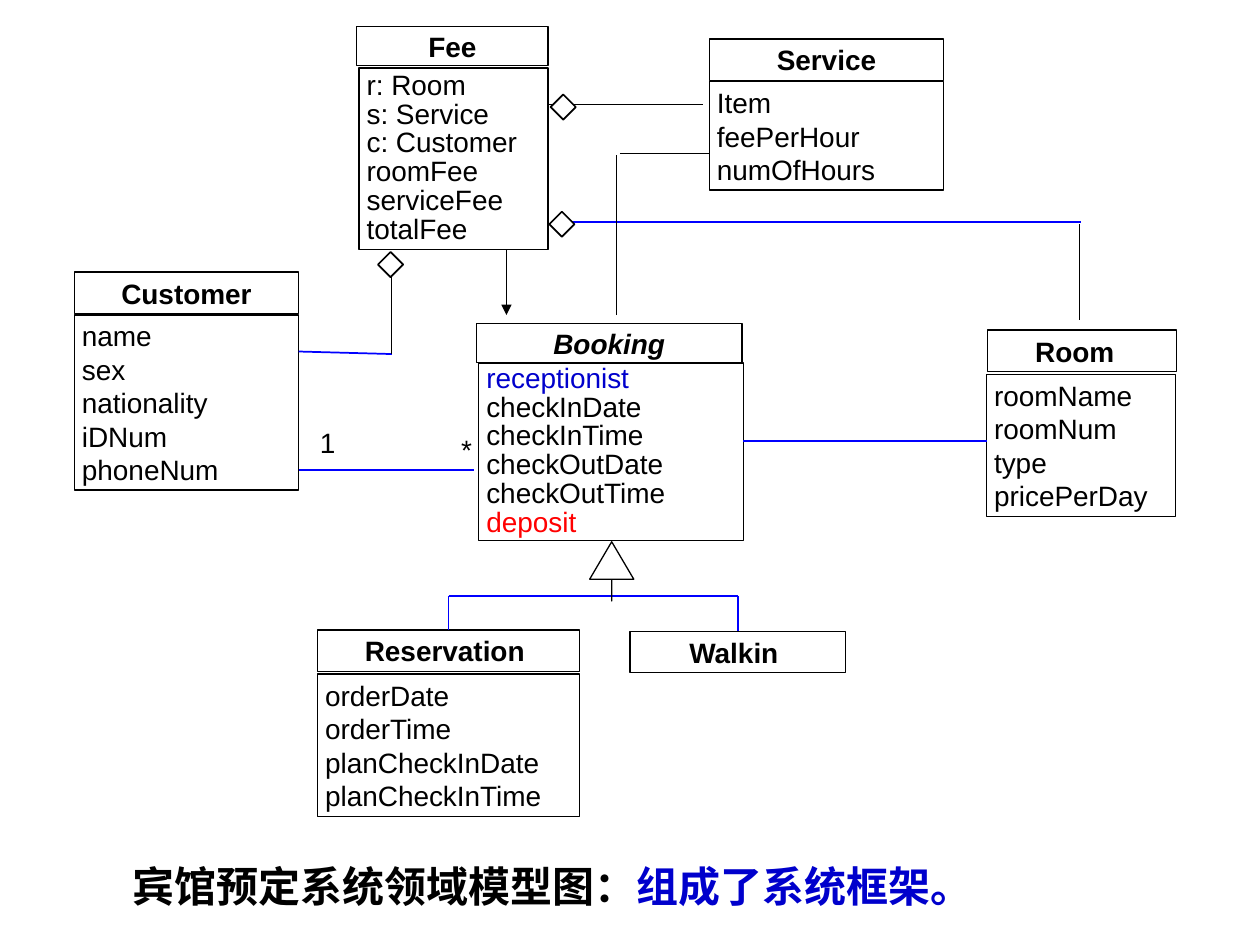
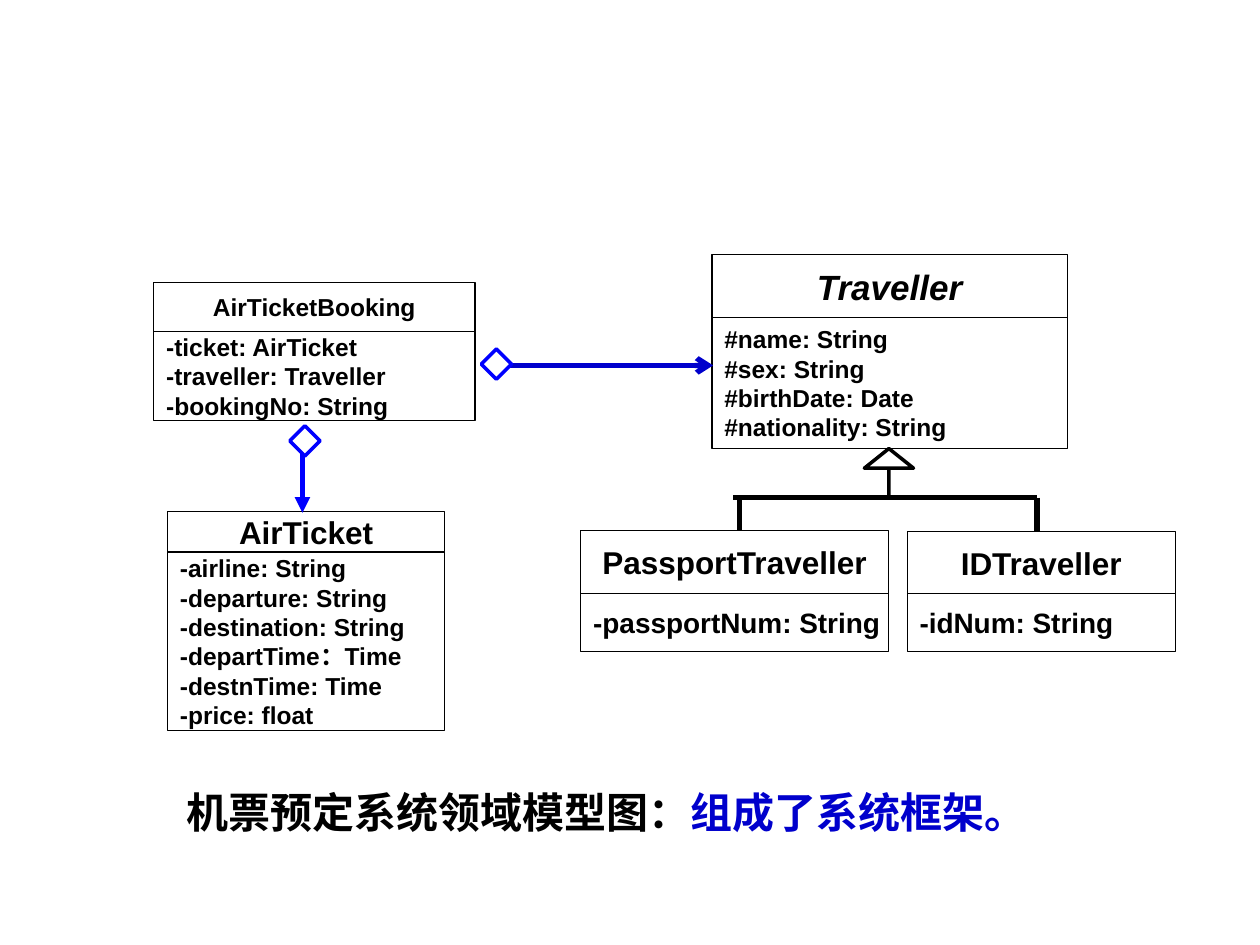
import pptx
import pptx.dml.color
import pptx.enum.shapes
import pptx.enum.text
import pptx.oxml.ns
import pptx.util
from lxml import etree

WIDTH, HEIGHT = pptx.util.Inches(10), pptx.util.Inches(7.5)
COLUMNS, ROWS = 100, 75
COLORS = {"ink": "000000", "paper": "FFFFFF", "blue": "0000FF", "accent": "0000CC", "alert": "FF0000"}
LATIN, CHINESE = "Arial", "Noto Sans CJK SC"
SHAPES = pptx.enum.shapes.MSO_SHAPE
CENTER = pptx.enum.text.PP_ALIGN.CENTER
LEFT = pptx.enum.text.PP_ALIGN.LEFT
SMALL_INSETS = (0.06, 0.03)
WIDE_INSETS = (0.1, 0.05)


def across(columns):
    return round(WIDTH * columns / COLUMNS)


def down(rows):
    return round(HEIGHT * rows / ROWS)


def place(left, top, width, height):
    return across(left), down(top), across(width), down(height)


def rgb(color):
    return pptx.dml.color.RGBColor.from_string(COLORS[color])


def style_paragraph(para, size, color="ink", bold=False, italic=False, align=LEFT, latin=LATIN):
    para.alignment = align
    font = para.font
    font.size, font.bold, font.italic, font.name = pptx.util.Pt(size), bold, italic, latin
    font.color.rgb = rgb(color)
    defaults = para._p.pPr.find(pptx.oxml.ns.qn("a:defRPr"))
    etree.SubElement(defaults, pptx.oxml.ns.qn("a:ea"), typeface=CHINESE)


def set_frame(frame, insets, wrap=True, right_pad=0):
    side, edge = insets
    frame.margin_left = pptx.util.Inches(side)
    frame.margin_right = pptx.util.Inches(side + right_pad)
    frame.margin_top = frame.margin_bottom = pptx.util.Inches(edge)
    frame.word_wrap = wrap


def add_outline(page, kind, area, color="ink", weight=0.75, filled=True):
    shape = page.shapes.add_shape(kind, *place(*area))
    shape.shadow.inherit = False
    if filled:
        shape.fill.solid()
        shape.fill.fore_color.rgb = rgb("paper")
    else:
        shape.fill.background()
    shape.line.color.rgb = rgb(color)
    shape.line.width = pptx.util.Pt(weight)
    return shape


def add_compartment(page, area, lines, insets, wrap, right_pad=0, spacing=None, marks=None, **style):
    box = add_outline(page, SHAPES.RECTANGLE, area)
    frame = box.text_frame
    set_frame(frame, insets, wrap, right_pad)
    frame.vertical_anchor = pptx.enum.text.MSO_ANCHOR.MIDDLE
    for index, line in enumerate(lines):
        para = frame.paragraphs[0] if index == 0 else frame.add_paragraph()
        para.text = line
        if spacing:
            para.line_spacing = spacing
        style_paragraph(para, color=(marks or {}).get(line, "ink"), **style)
    return box


def add_class(page, name, head, body=None, fields=(), insets=SMALL_INSETS, wrap=True, name_size=16,
              field_size=16, bold_fields=False, abstract=False, right_pad=0, spacing=None, marks=None):
    title = add_compartment(page, head, [name], insets, wrap, right_pad,
                            size=name_size, bold=True, italic=abstract, align=CENTER)
    if body:
        add_compartment(page, body, fields, insets, wrap, spacing=spacing, marks=marks,
                        size=field_size, bold=bold_fields)
    return title


def add_stacked_class(page, name, left, top, width, head_height, body_height, fields, **options):
    return add_class(page, name, (left, top, width, head_height),
                     (left, top + head_height, width, body_height), fields,
                     insets=WIDE_INSETS, wrap=False, bold_fields=True, **options)


def add_line(page, start, end, color="ink", weight=0.75, arrow=None, target=None):
    line = page.shapes.add_connector(pptx.enum.shapes.MSO_CONNECTOR.STRAIGHT,
                                     across(start[0]), down(start[1]), across(end[0]), down(end[1]))
    line.line.color.rgb = rgb(color)
    line.line.width = pptx.util.Pt(weight)
    if arrow:
        etree.SubElement(line.line._get_or_add_ln(), pptx.oxml.ns.qn("a:tailEnd"), type=arrow)
    etree.SubElement(line._element.spPr, pptx.oxml.ns.qn("a:effectLst"))
    if target is not None:
        line.end_connect(target, 0)


def add_diamond(page, left, top, size, color="ink", weight=1):
    add_outline(page, SHAPES.DIAMOND, (left, top, size, size), color, weight)


def add_inheritance(page, area, head_share, weight=0.75):
    arrow = add_outline(page, SHAPES.UP_ARROW, area, weight=weight, filled=False)
    arrow.adjustments[0] = 0
    arrow.adjustments[1] = head_share


def add_label(page, area, text, insets):
    box = page.shapes.add_textbox(*place(*area))
    set_frame(box.text_frame, insets)
    para = box.text_frame.paragraphs[0]
    para.text = text
    style_paragraph(para, 16)


def add_caption(page, area, subject):
    box = page.shapes.add_textbox(*place(*area))
    set_frame(box.text_frame, WIDE_INSETS)
    para = box.text_frame.paragraphs[0]
    style_paragraph(para, 24, bold=True, align=CENTER, latin=CHINESE)
    for text, color in ((subject + "预定系统领域模型图：", "ink"), ("组成了系统框架。", "accent")):
        span = para.add_run()
        span.text = text
        span.font.color.rgb = rgb(color)


def build_hotel_model(page):
    add_class(page, "Room", (78.4, 26.2, 15, 3.3), (78.3, 29.7, 15, 11.3),
              ["roomName", "roomNum", "type", "pricePerDay"], right_pad=0.12)
    add_class(page, "Fee", (28.3, 2.1, 15.2, 3.1), (28.5, 5.4, 15, 14.4),
              ["r: Room", "s: Service", "c: Customer", "roomFee", "serviceFee", "totalFee"], spacing=0.86)
    add_class(page, "Service", (56.3, 3.1, 18.6, 3.3), (56.3, 6.5, 18.6, 8.6),
              ["Item", "feePerHour", "numOfHours"])
    add_class(page, "Booking", (37.8, 25.7, 21.1, 3.1), (38, 28.8, 21, 14.1),
              ["receptionist", "checkInDate", "checkInTime", "checkOutDate", "checkOutTime", "deposit"],
              abstract=True, spacing=0.86, marks={"receptionist": "accent", "deposit": "alert"})
    add_class(page, "Customer", (5.9, 21.6, 17.8, 3.3), (5.9, 25, 17.8, 13.9),
              ["name", "sex", "nationality", "iDNum", "phoneNum"])
    walkin = add_class(page, "Walkin", (50, 50.1, 17.1, 3.3), right_pad=0.06)
    reservation = add_class(page, "Reservation", (25.2, 50, 20.8, 3.3), (25.2, 53.5, 20.8, 11.3),
                            ["orderDate", "orderTime", "planCheckInDate", "planCheckInTime"],
                            right_pad=0.06)

    left_branch, right_branch, branch_row = 35.6, 58.55, 47.3
    add_line(page, (left_branch, branch_row), (right_branch, branch_row), "blue", 1)
    add_line(page, (left_branch, branch_row), (left_branch, 50), "blue", 1, target=reservation)
    add_line(page, (right_branch, branch_row), (right_branch, 50.1), "blue", 1, target=walkin)
    add_inheritance(page, (46.8, 43, 3.5, 4.7), 0.85)

    for start, end in (((59, 35), (78.3, 35)), ((43.8, 17.6), (85.8, 17.6)),
                       ((23.7, 37.3), (37.6, 37.3)), ((23.7, 27.9), (31.1, 28.1))):
        add_line(page, start, end, "blue", 1)
    for start, end in (((43.5, 8.3), (55.8, 8.3)), ((85.7, 17.8), (85.7, 25.4)),
                       ((31.1, 21.8), (31.1, 28.1))):
        add_line(page, start, end)
    for start, end in (((48.9, 25), (48.9, 12.3)), ((49.2, 12.2), (56.3, 12.2))):
        add_line(page, start, end, weight=0.5)
    add_line(page, (40.2, 19.8), (40.2, 25), weight=1, arrow="triangle")
    for left, top in ((43.7, 7.5), (43.6, 16.8), (30, 20)):
        add_diamond(page, left, top, 2)

    add_label(page, (24.8, 33.5, 3.4, 3.3), "1", SMALL_INSETS)
    add_label(page, (36.6, 34.3, 3.2, 2.7), "*", (0, 0))
    add_caption(page, (8.3, 67.8, 71.1, 5), "宾馆")


def build_ticket_model(page):
    add_stacked_class(page, "Traveller", 56.5, 20.2, 28.2, 5, 10.4,
                      ["#name: String", "#sex: String", "#birthDate: Date", "#nationality: String"],
                      name_size=20, field_size=14, abstract=True)
    add_stacked_class(page, "AirTicketBooking", 12.2, 22.4, 25.5, 3.9, 7.1,
                      ["-ticket: AirTicket", "-traveller: Traveller", "-bookingNo: String"],
                      name_size=14, field_size=14)
    add_stacked_class(page, "AirTicket", 13.3, 40.6, 22, 3.2, 14.2,
                      ["-airline: String", "-departure: String", "-destination: String",
                       "-departTime：Time", "-destnTime: Time", "-price: float"],
                      name_size=18, field_size=14)
    add_stacked_class(page, "IDTraveller", 72, 42.2, 21.3, 4.9, 4.6, ["-idNum: String"], name_size=18)
    add_stacked_class(page, "PassportTraveller", 46.1, 42.1, 24.4, 5, 4.6,
                      ["-passportNum: String"], name_size=18)

    branch_row = 39.5
    add_line(page, (58.2, branch_row), (82.3, branch_row), weight=3)
    add_line(page, (58.7, branch_row), (58.7, 42.1), weight=3)
    add_line(page, (82.3, branch_row), (82.3, 42.2), weight=3)
    add_inheritance(page, (68.6, 35.6, 3.9, 3.9), 0.4, weight=2)

    add_line(page, (39.8, 29), (56.6, 29), "accent", 3, "arrow")
    add_line(page, (24, 35.9), (24, 40.7), "blue", 3, "triangle")
    for left, top in ((38.2, 27.7), (23, 33.8)):
        add_diamond(page, left, top, 2.4, "blue", 2)
    add_caption(page, (9.6, 61.9, 77.1, 5), "机票")


def main():
    deck = pptx.Presentation()
    deck.slide_width, deck.slide_height = WIDTH, HEIGHT
    for build in (build_hotel_model, build_ticket_model):
        build(deck.slides.add_slide(deck.slide_layouts[6]))
    deck.save("out.pptx")


if __name__ == "__main__":
    main()
